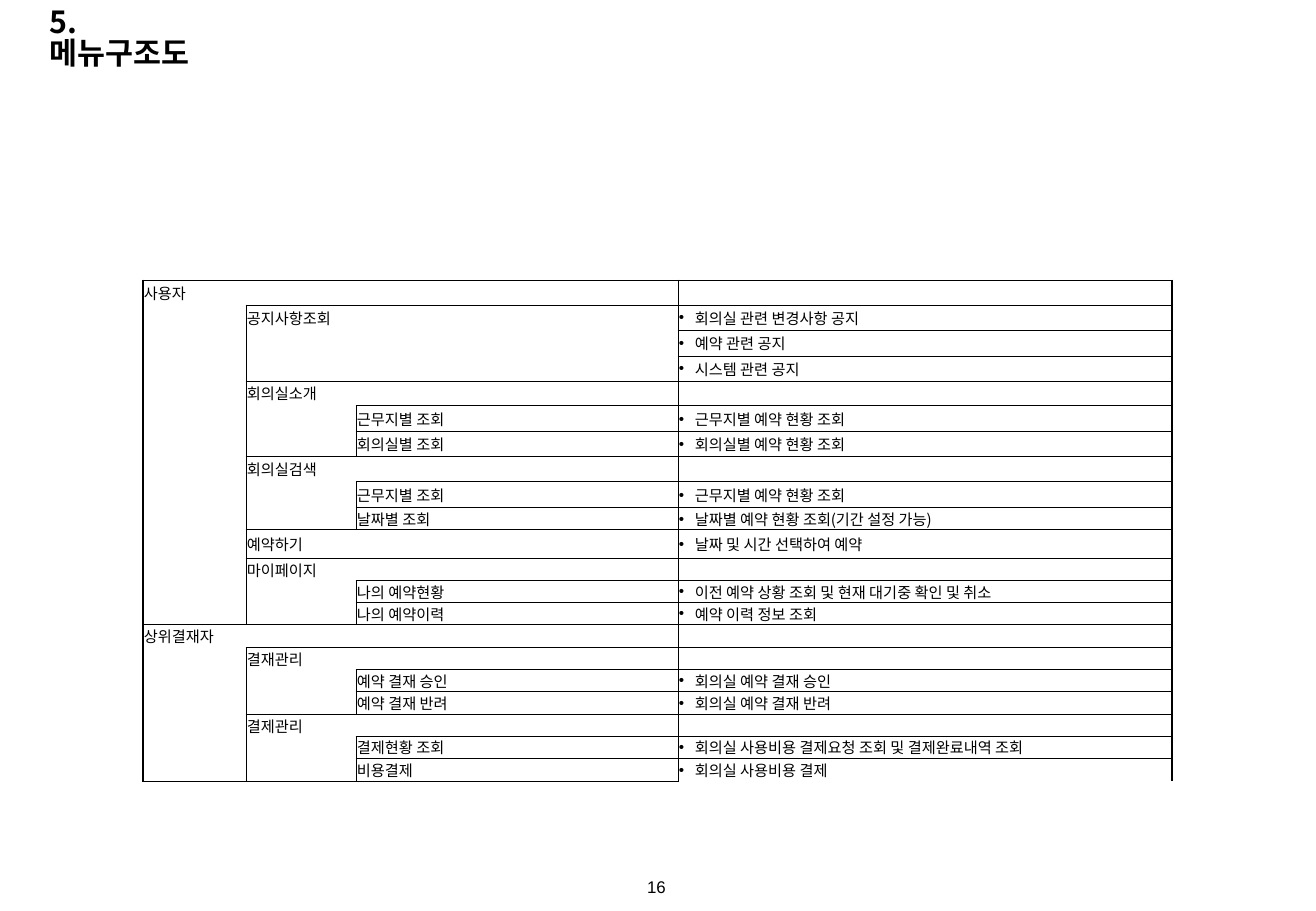
from dataclasses import dataclass
from pptx import Presentation
from pptx.dml.color import RGBColor as Rgb
from pptx.enum.text import MSO_ANCHOR as Anchor, MSO_AUTO_SIZE as Fit, PP_ALIGN as Align
from pptx.oxml.ns import qn
from pptx.util import Pt
from lxml.etree import SubElement as Sub, Element as Elem

SCALE = 7526


def px(n):
    return n * SCALE


@dataclass(frozen=True)
class Theme:
    ink: str = "000000"
    paper: str = "FFFFFF"
    hangul: str = "Noto Sans CJK KR"
    latin: str = "Arial"
    head: int = 18
    cell: int = 9
    page: int = 10
    thin: float = 0.5
    thick: float = 1


class Deck:
    def __init__(self, theme, width, height):
        self.theme = theme
        self.file = Presentation()
        self.file.slide_width, self.file.slide_height = px(width), px(height)
        self.slide = self.file.slides.add_slide(self.file.slide_layouts[5])

    def style(self, para, size, face, bold=False):
        font = para.font
        font.size, font.name, font.bold = Pt(size), face, bold
        font.color.rgb = Rgb.from_string(self.theme.ink)
        props = para._p.get_or_add_pPr().find(qn("a:defRPr"))
        Sub(props, qn("a:ea"), typeface=face)

    def title(self, text, left, top, width, height):
        shape = self.slide.shapes.title
        shape.left, shape.top = px(left), px(top)
        shape.width, shape.height = px(width), px(height)
        frame = shape.text_frame
        frame.text = text
        frame.word_wrap, frame.auto_size = True, Fit.NONE
        frame.vertical_anchor = Anchor.MIDDLE
        frame.margin_left, frame.margin_right = px(12), px(20)
        para = frame.paragraphs[0]
        para.alignment, para.line_spacing = Align.LEFT, 0.85
        self.style(para, self.theme.head, self.theme.hangul, True)

    def number(self, text, left, top, width, height):
        box = self.slide.shapes.add_textbox(px(left), px(top), px(width), px(height))
        frame = box.text_frame
        frame.text, frame.word_wrap = text, False
        para = frame.paragraphs[0]
        para.alignment = Align.CENTER
        self.style(para, self.theme.page, self.theme.latin)

    def border(self, cell, side, width):
        line = Sub(cell._tc.get_or_add_tcPr(), qn("a:ln" + side), w=str(Pt(width)))
        if width:
            fill = Sub(line, qn("a:solidFill"))
            Sub(fill, qn("a:srgbClr"), val=self.theme.ink)
        else:
            Sub(line, qn("a:noFill"))

    def bullet(self, para):
        props = para._p.get_or_add_pPr()
        props.set("marL", str(px(16)))
        props.set("indent", str(px(-16)))
        mark = Elem(qn("a:buChar"), char="•")
        props.insert(0, mark)
        props.insert(0, Elem(qn("a:buFont"), typeface=self.theme.latin))

    def fill(self, cell, text, sides, listed):
        for side, width in sides.items():
            self.border(cell, side, width)
        cell.fill.solid()
        cell.fill.fore_color.rgb = Rgb.from_string(self.theme.paper)
        cell.vertical_anchor = Anchor.MIDDLE
        cell.margin_left = cell.margin_right = px(1)
        cell.margin_top = cell.margin_bottom = 0
        cell.text = text
        para = cell.text_frame.paragraphs[0]
        self.style(para, self.theme.cell, self.theme.hangul)
        if not text:
            Sub(para._p, qn("a:endParaRPr"), sz=str(self.theme.cell * 100))
        elif listed:
            self.bullet(para)

    def menu(self, items, left, top, widths, heights):
        last = len(widths) - 1
        thin, thick = self.theme.thin, self.theme.thick

        def above(row, col):
            if row == len(items):
                return thin * (col < last)
            level, label, _ = items[row]
            return thin * (col == last or bool(label) and col >= level)

        def before(row, col):
            if col in (0, last + 1):
                return thick
            return thin * (col == last or col <= items[row][0])

        frame = self.slide.shapes.add_table(
            len(items), len(widths), px(left), px(top), px(sum(widths)), px(sum(heights)))
        table = frame.table
        table.first_row = table.horz_banding = False
        for col, width in enumerate(widths):
            table.columns[col].width = px(width)
        for row, (level, label, note) in enumerate(items):
            table.rows[row].height = px(heights[row])
            for col in range(len(widths)):
                text = {level: label, last: note}.get(col, "")
                sides = {"L": before(row, col), "R": before(row, col + 1),
                         "T": above(row, col), "B": above(row + 1, col)}
                self.fill(table.cell(row, col), text, sides, col == last)


def split(total, count):
    return [total * (i + 1) // count - total * i // count for i in range(count)]


ITEMS = [
    (0, "사용자", ""),
    (1, "공지사항조회", "회의실 관련 변경사항 공지"),
    (1, "", "예약 관련 공지"),
    (1, "", "시스템 관련 공지"),
    (1, "회의실소개", ""),
    (2, "근무지별 조회", "근무지별 예약 현황 조회"),
    (2, "회의실별 조회", "회의실별 예약 현황 조회"),
    (1, "회의실검색", ""),
    (2, "근무지별 조회", "근무지별 예약 현황 조회"),
    (2, "날짜별 조회", "날짜별 예약 현황 조회(기간 설정 가능)"),
    (1, "예약하기", "날짜 및 시간 선택하여 예약"),
    (1, "마이페이지", ""),
    (2, "나의 예약현황", "이전 예약 상황 조회 및 현재 대기중 확인 및 취소"),
    (2, "나의 예약이력", "예약 이력 정보 조회"),
    (0, "상위결재자", ""),
    (1, "결재관리", ""),
    (2, "예약 결재 승인", "회의실 예약 결재 승인"),
    (2, "예약 결재 반려", "회의실 예약 결재 반려"),
    (1, "결제관리", ""),
    (2, "결제현황 조회", "회의실 사용비용 결제요청 조회 및 결제완료내역 조회"),
    (2, "비용결제", "회의실 사용비용 결제"),
]


def main():
    deck = Deck(Theme(), 1316, 911)
    deck.number("16", 634, 871, 45, 33)
    deck.title("5. 메뉴구조도", 38, 15, 198, 49)
    heights = split(228, 9) + [22, 29] + split(223, 10)
    deck.menu(ITEMS, 143, 280, [103, 110, 169, 153, 494], heights)
    deck.file.save("out.pptx")


if __name__ == "__main__":
    main()
